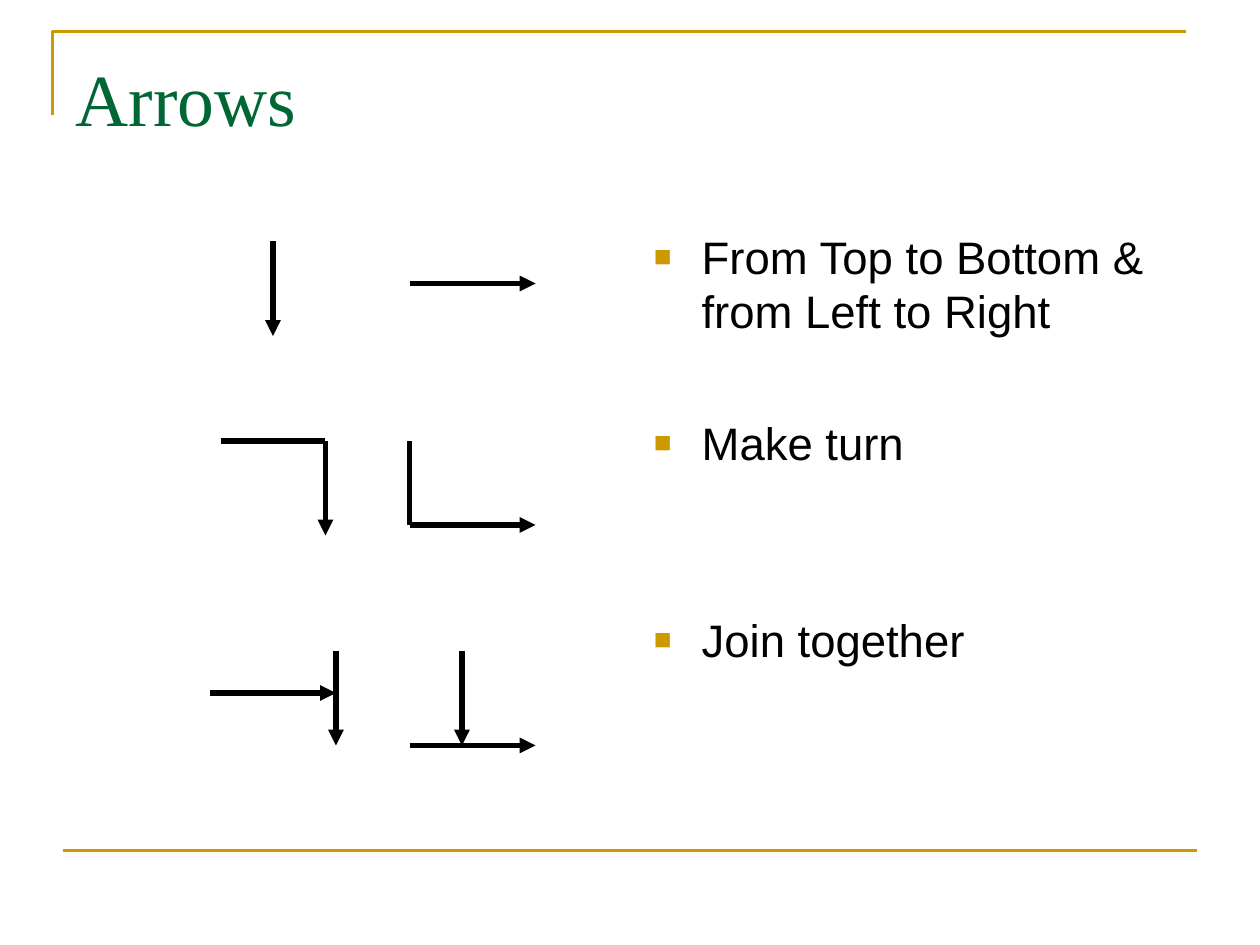
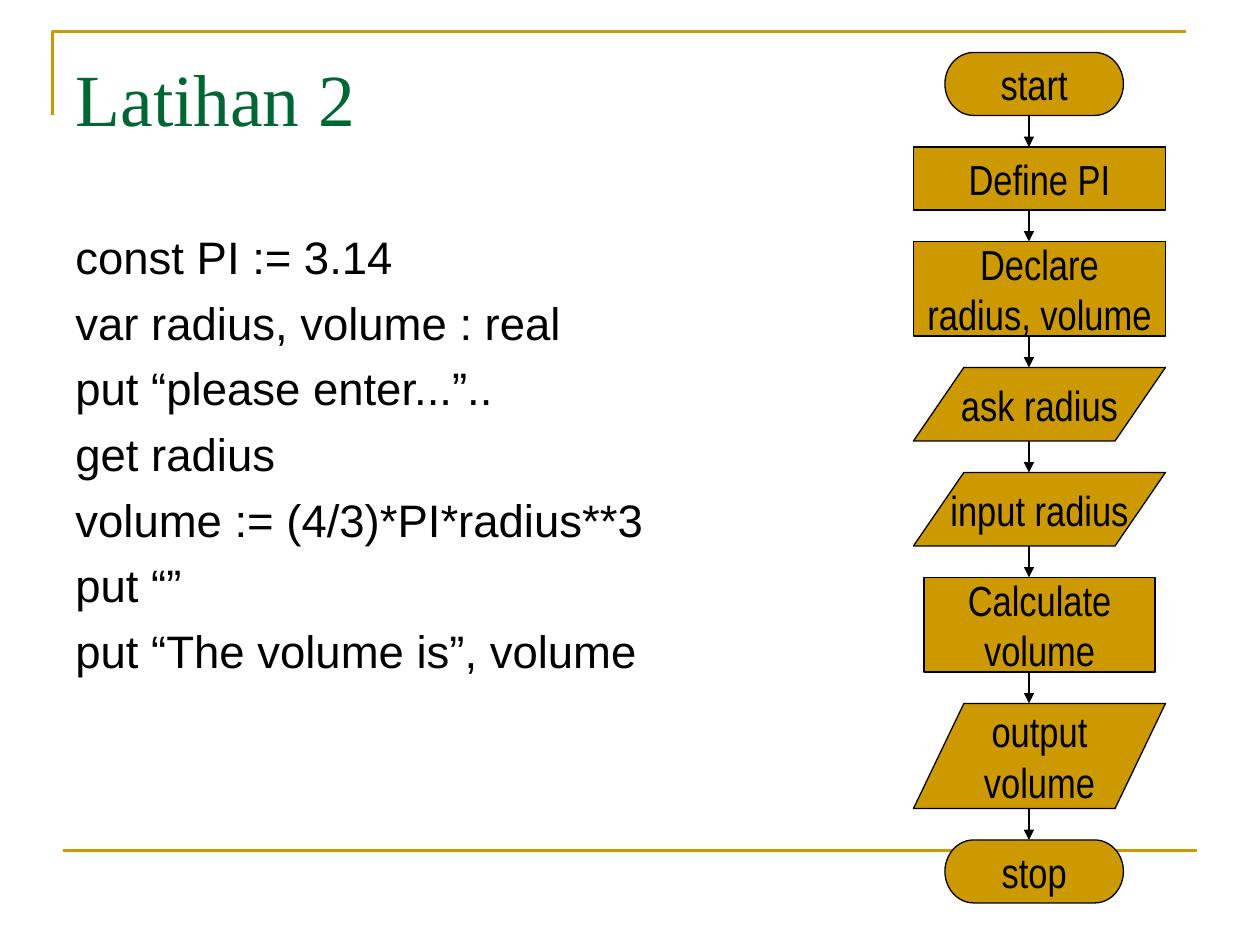
"""Build two slides on flowchart arrows and a worked exercise."""
from lxml.etree import SubElement
from pptx import Presentation
from pptx.dml.color import RGBColor
from pptx.enum.shapes import MSO_CONNECTOR, MSO_SHAPE
from pptx.enum.text import MSO_ANCHOR, MSO_AUTO_SIZE, PP_ALIGN
from pptx.oxml.ns import qn
from pptx.util import Inches, Pt

GOLD = RGBColor(0xCC, 0x99, 0x00)
GREEN = RGBColor(0x00, 0x66, 0x33)
BLACK = RGBColor(0x00, 0x00, 0x00)

UNIT = Inches(1) // 12
INDENT = Inches(0.38)
LINE_PT, GAP_PT = 31, 6.5

ARROW_TITLE = "Arrows"
ARROW_RULES = [
    ("From Top to Bottom & from Left to Right", 44),
    ("Make turn", 82),
    ("Join together", GAP_PT),
]
ARROW_LINES = [
    (39, 27, 51, 27, True),
    (26, 23, 26, 32, True),
    (21, 42, 31, 42, False),
    (31, 42, 31, 51, True),
    (39, 42, 39, 50, False),
    (39, 50, 51, 50, True),
    (32, 62, 32, 71, True),
    (20, 66, 32, 66, True),
    (44, 62, 44, 71, True),
    (39, 71, 51, 71, True),
]

EXERCISE_TITLE = "Latihan 2"
CODE = [
    "const PI := 3.14",
    "var radius, volume : real",
    "put “please enter...”..",
    "get radius",
    "volume := (4/3)*PI*radius**3",
    "put “”",
    "put “The volume is”, volume",
]
TERMINAL = MSO_SHAPE.FLOWCHART_TERMINATOR
PROCESS = MSO_SHAPE.FLOWCHART_PROCESS
IN_OUT = MSO_SHAPE.FLOWCHART_DATA
STEPS = [
    (TERMINAL, 90, 17, 6, ["start"]),
    (PROCESS, 87, 24, 6, ["Define PI"]),
    (PROCESS, 87, 24, 9, ["Declare", "radius, volume"]),
    (IN_OUT, 87, 24, 7, ["ask radius"]),
    (IN_OUT, 87, 24, 7, ["input radius"]),
    (PROCESS, 88, 22, 9, ["Calculate", "volume"]),
    (IN_OUT, 87, 24, 10, ["output", "volume"]),
    (TERMINAL, 90, 17, 6, ["stop"]),
]
FLOW_TOP, FLOW_GAP, FLOW_X = 5, 3, 98


def add_run(p, text, font, size, color):
    r = p.add_run()
    r.text = text
    r.font.name, r.font.size = font, Pt(size)
    r.font.color.rgb = color


def add_line(s, x1, y1, x2, y2, color, width, arrow=False):
    ends = [v * UNIT for v in (x1, y1, x2, y2)]
    line = s.shapes.add_connector(MSO_CONNECTOR.STRAIGHT, *ends)
    line.line.color.rgb, line.line.width = color, Pt(width)
    if arrow:
        SubElement(line.line._get_or_add_ln(), qn("a:tailEnd"), type="triangle")
    SubElement(line._element.spPr, qn("a:effectLst"))


def add_slide(prs, title):
    s = prs.slides.add_slide(prs.slide_layouts[5])
    corner = s.shapes.build_freeform(5 * UNIT, 11 * UNIT)
    corner.add_line_segments([(5 * UNIT, 3 * UNIT), (113 * UNIT, 3 * UNIT)], close=False)
    sp = corner.convert_to_shape()
    sp.shadow.inherit = False
    sp.fill.background()
    sp.line.color.rgb, sp.line.width = GOLD, Pt(1.5)
    add_line(s, 6, 81, 114, 81, GOLD, 1.5)

    sp = s.shapes.title
    sp.left, sp.top, sp.width, sp.height = (Inches(v) for v in (0.5, 0.3, 9, 1.25))
    tf = sp.text_frame
    tf.auto_size = MSO_AUTO_SIZE.NONE
    tf.vertical_anchor = MSO_ANCHOR.TOP
    tf.margin_top = Inches(0.12)
    p = tf.paragraphs[0]
    p.alignment = PP_ALIGN.LEFT
    add_run(p, title, "Times New Roman", 42, GREEN)
    return s


def add_body(s, left, width, items, bullet=False):
    sp = s.shapes.add_textbox(Inches(left), Inches(1.75), Inches(width), Inches(4.95))
    tf = sp.text_frame
    tf.word_wrap = True
    tf.margin_top = Inches(0.07)
    for i, (text, gap) in enumerate(items):
        p = tf.add_paragraph() if i else tf.paragraphs[0]
        p.line_spacing, p.space_after = Pt(LINE_PT), Pt(gap)
        pPr = p._p.get_or_add_pPr()
        pPr.set("marL", str(INDENT))
        pPr.set("indent", str(-INDENT))
        if bullet:
            SubElement(SubElement(pPr, qn("a:buClr")), qn("a:srgbClr"), val=str(GOLD))
            SubElement(pPr, qn("a:buSzPct"), val="65000")
            SubElement(pPr, qn("a:buFont"), typeface="Arial")
            SubElement(pPr, qn("a:buChar"), char="■")
        add_run(p, text, "Arial", 26, BLACK)


def add_step(s, kind, left, top, width, height, lines):
    sp = s.shapes.add_shape(kind, *(v * UNIT for v in (left, top, width, height)))
    sp.shadow.inherit = False
    sp.fill.solid()
    sp.fill.fore_color.rgb = GOLD
    sp.line.color.rgb, sp.line.width = BLACK, Pt(0.75)
    tf = sp.text_frame
    tf.word_wrap = False
    tf.vertical_anchor = MSO_ANCHOR.MIDDLE
    for i, text in enumerate(lines):
        p = tf.add_paragraph() if i else tf.paragraphs[0]
        p.alignment = PP_ALIGN.CENTER
        add_run(p, text, "Arial Narrow", 24, BLACK)


def build_arrows(prs):
    s = add_slide(prs, ARROW_TITLE)
    add_body(s, 5.09, 4.41, ARROW_RULES, bullet=True)
    for x1, y1, x2, y2, arrow in ARROW_LINES:
        add_line(s, x1, y1, x2, y2, BLACK, 3, arrow)


def build_exercise(prs):
    s = add_slide(prs, EXERCISE_TITLE)
    add_body(s, 0.5, 5.38, [(text, GAP_PT) for text in CODE])
    top = FLOW_TOP
    for kind, left, width, height, lines in STEPS:
        if top > FLOW_TOP:
            add_line(s, FLOW_X, top - FLOW_GAP, FLOW_X, top, BLACK, 0.75, True)
        add_step(s, kind, left, top, width, height, lines)
        top += height + FLOW_GAP


def main():
    prs = Presentation()
    prs.slide_width, prs.slide_height = Inches(10), Inches(7.5)
    build_arrows(prs)
    build_exercise(prs)
    prs.save("out.pptx")


if __name__ == "__main__":
    main()
